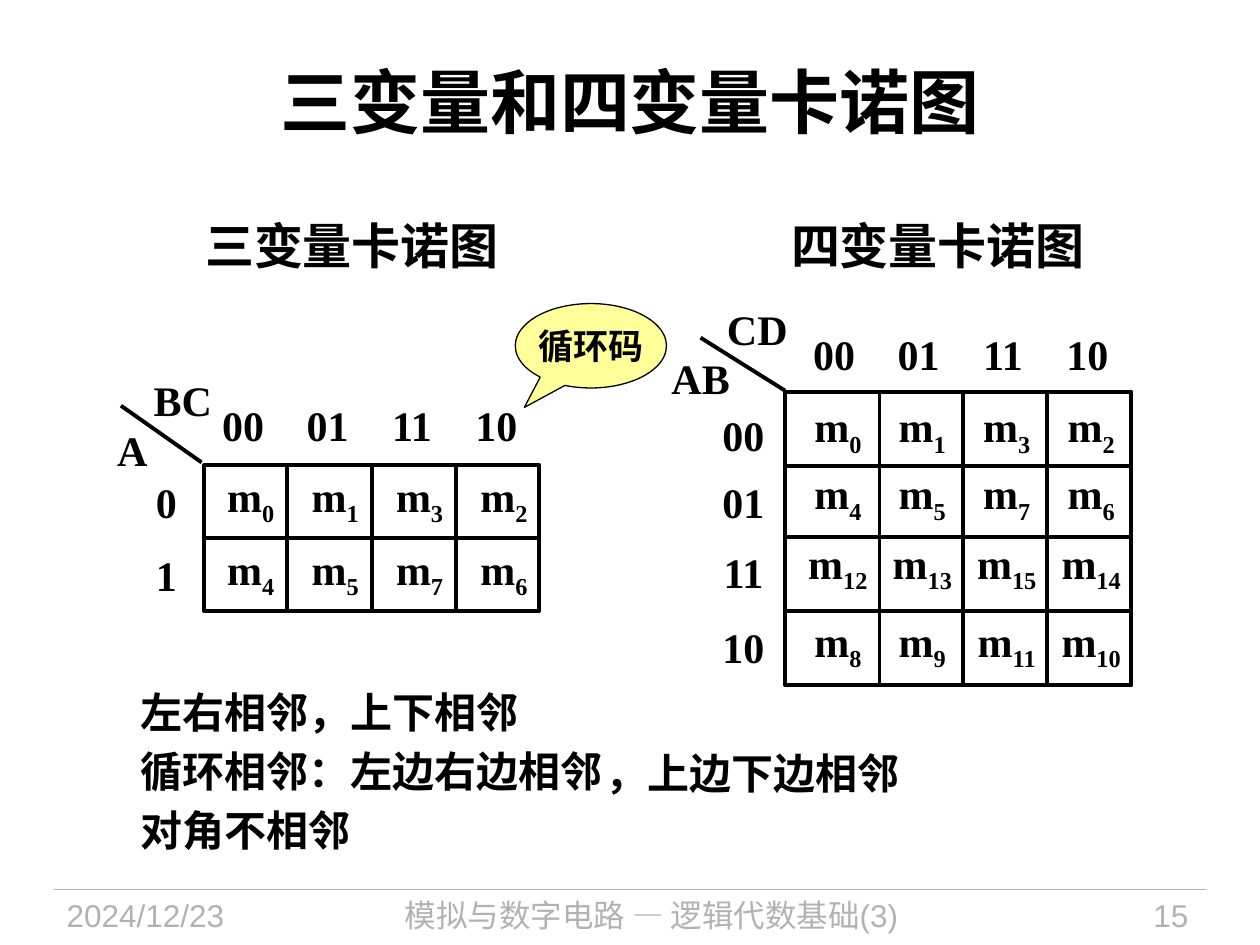
import pptx
import pptx.util
import pptx.dml.color
import pptx.enum.shapes
import pptx.enum.text
import pptx.oxml.ns
import lxml.etree

PX = 9144  # 100 px to the inch
HUES = {"ink": "000000", "gray": "B2B2B2", "note": "FFFF99"}
SANS, SERIF = "Arial", "Times New Roman"
ALIGN = pptx.enum.text.PP_ALIGN
MID = pptx.enum.text.MSO_ANCHOR.MIDDLE
KIND = pptx.enum.shapes.MSO_SHAPE


def rgb(name):
    return pptx.dml.color.RGBColor.from_string(HUES[name])


def write(shape, words, size, font=SANS, align=ALIGN.LEFT, hue="ink", bold=True, sub=""):
    """Fill a shape with text; sub is set as a subscript after the words."""
    frame = shape.text_frame
    frame.text = words
    for para in frame.paragraphs:
        para.alignment = align
        if sub:
            run = para.add_run()
            run.text = sub
            run.font._element.set("baseline", "-25000")
        for run in para.runs:
            run.font.size = pptx.util.Pt(size)
            run.font.name = font
            run.font.bold = bold
            run.font.color.rgb = rgb(hue)
    return frame


deck = pptx.Presentation()
deck.slide_width, deck.slide_height = 1000 * PX, 750 * PX
slide = deck.slides.add_slide(deck.slide_layouts[6])
shapes = slide.shapes

# Title, headings and footer
rows = [
    (50, 17, 900, 125, "三变量和四变量卡诺图", 40, ALIGN.CENTER, "ink"),
    (153, 166, 268, 57, "三变量卡诺图", 28, ALIGN.LEFT, "ink"),
    (618, 166, 278, 57, "四变量卡诺图", 28, ALIGN.LEFT, "ink"),
    (43, 706, 188, 44, "2024/12/23", 18, ALIGN.LEFT, "gray"),
    (249, 706, 536, 44, "模拟与数字电路 — 逻辑代数基础(3)", 18, ALIGN.CENTER, "gray"),
    (820, 706, 133, 44, "15", 18, ALIGN.RIGHT, "gray"),
    (471, 588, 269, 50, "，上边下边相邻", 24, ALIGN.LEFT, "ink"),
]
for x, y, w, h, words, size, align, hue in rows:
    box = shapes.add_textbox(x * PX, y * PX, w * PX, h * PX)
    frame = write(box, words, size, align=align, hue=hue, bold=hue == "ink")
    frame.word_wrap = True
    if size == 40:
        frame.vertical_anchor = MID

# Rules of adjacency
box = shapes.add_textbox(102 * PX, 540 * PX, 398 * PX, 146 * PX)
frame = write(box, "左右相邻，上下相邻\n循环相邻：左边右边相邻\n对角不相邻", 24)
frame.word_wrap = True
for para in frame.paragraphs:
    para.space_after = pptx.util.Pt(4.8)

# Karnaugh maps: grid lines, middles of the labels and cells, minterm numbers
maps = [
    dict(
        cols=[162, 228, 295, 362, 428], rows=[369, 427, 485],
        head=(193, 337), side=(132, [398, 456]), cell=(199, [396, 454]),
        codes=["0", "1"], terms=["0132", "4576"],
        slant=(96, 322, 160, 367), names=[("BC", 145, 317), ("A", 105, 357)],
    ),
    dict(
        cols=[623, 698, 764, 831, 898], rows=[311, 370, 426, 485, 544],
        head=(662, 281), side=(590, [345, 398, 454, 513]),
        cell=(665, [341, 394, 449, 511]),
        codes=["00", "01", "11", "10"],
        terms=["0132", "4576", ["12", "13", "15", "14"], ["8", "9", "11", "10"]],
        slant=(556, 268, 623, 310), names=[("CD", 601, 261), ("AB", 556, 300)],
    ),
]
lines = [(shapes, (43, 706, 957, 706), "gray", 0.75, None)]
for kmap in maps:
    group = shapes.add_group_shape().shapes
    cols, rows = kmap["cols"], kmap["rows"]
    left, right, top, base = cols[0], cols[-1], rows[0], rows[-1]
    grid = group.add_shape(KIND.RECTANGLE, left * PX, top * PX,
                           (right - left) * PX, (base - top) * PX)
    grid.shadow.inherit = False
    grid.fill.background()
    grid.line.color.rgb = rgb("ink")
    grid.line.width = pptx.util.Pt(2.25)

    lines.append((group, kmap["slant"], "ink", 2.25, None))
    for x in cols[1:-1]:
        ends = (grid, 0, 2) if 2 * x == left + right else None
        lines.append((group, (x, top, x, base), "ink", 2.25, ends))
    for y in rows[1:-1]:
        ends = (grid, 1, 3) if 2 * y == top + base else None
        lines.append((group, (left, y, right, y), "ink", 2.25, ends))

    marks = [(words, "", x, y) for words, x, y in kmap["names"]]
    x, y = kmap["head"]
    marks += [(code, "", x + i * 67, y) for i, code in enumerate(["00", "01", "11", "10"])]
    x, mids = kmap["side"]
    marks += [(code, "", x, y) for code, y in zip(kmap["codes"], mids)]
    x, mids = kmap["cell"]
    for terms, y in zip(kmap["terms"], mids):
        marks += [("m", term, x + i * 67, y) for i, term in enumerate(terms)]
    for words, sub, x, y in marks:
        wide = 78 if len(sub) == 2 else 72
        box = group.add_textbox((x - wide // 2) * PX, (y - 25) * PX, wide * PX, 50 * PX)
        frame = write(box, words, 24, SERIF, ALIGN.CENTER, sub=sub)
        frame.word_wrap = False
        frame.vertical_anchor = MID

for group, points, hue, width, ends in lines:
    line = group.add_connector(pptx.enum.shapes.MSO_CONNECTOR.STRAIGHT,
                               *[point * PX for point in points])
    line.line.color.rgb = rgb(hue)
    line.line.width = pptx.util.Pt(width)
    lxml.etree.SubElement(line._element.spPr, pptx.oxml.ns.qn("a:effectLst"))
    if ends:
        grid, start, stop = ends
        line.begin_connect(grid, start)
        line.end_connect(grid, stop)

# Callout on the cyclic code
note = shapes.add_shape(KIND.OVAL_CALLOUT, 409 * PX, 241 * PX, 120 * PX, 67 * PX)
note.adjustments[0], note.adjustments[1] = -0.44, 0.73
note.shadow.inherit = False
note.fill.solid()
note.fill.fore_color.rgb = rgb("note")
note.line.color.rgb = rgb("ink")
note.line.width = pptx.util.Pt(0.75)
frame = write(note, "循环码", 20, align=ALIGN.CENTER)
frame.margin_left = frame.margin_right = frame.margin_top = frame.margin_bottom = 0
frame.word_wrap = False
frame.vertical_anchor = MID

deck.save("out.pptx")
